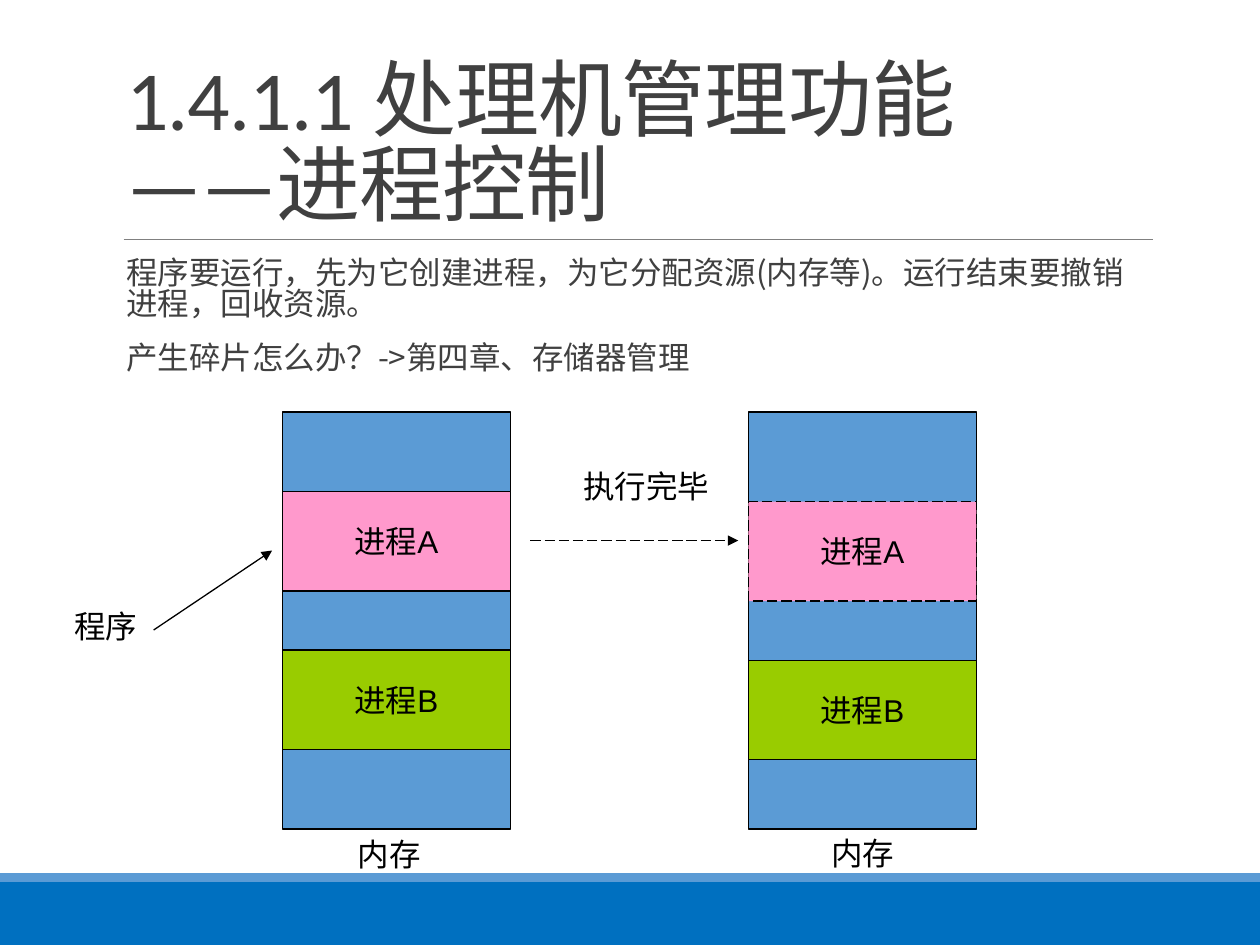
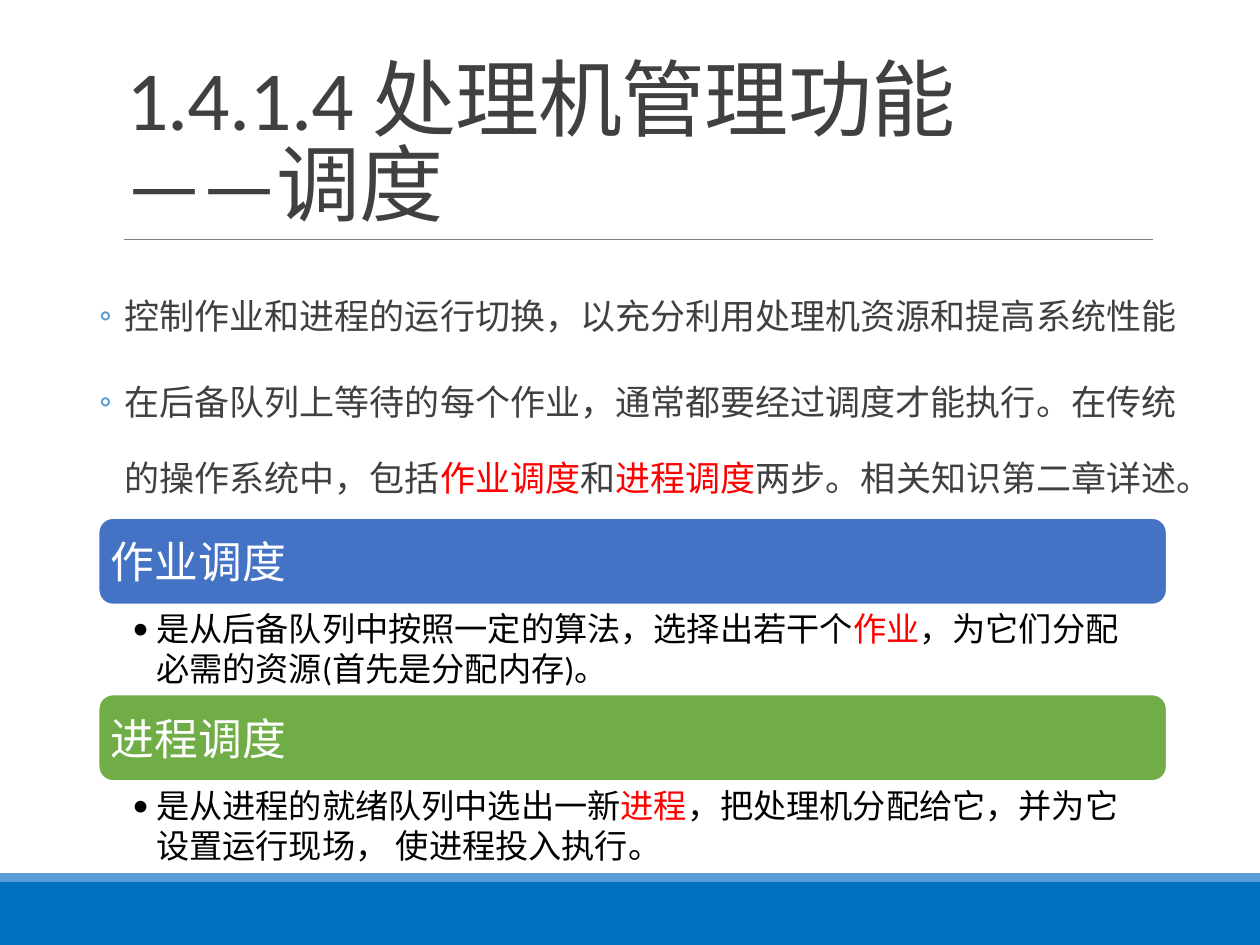
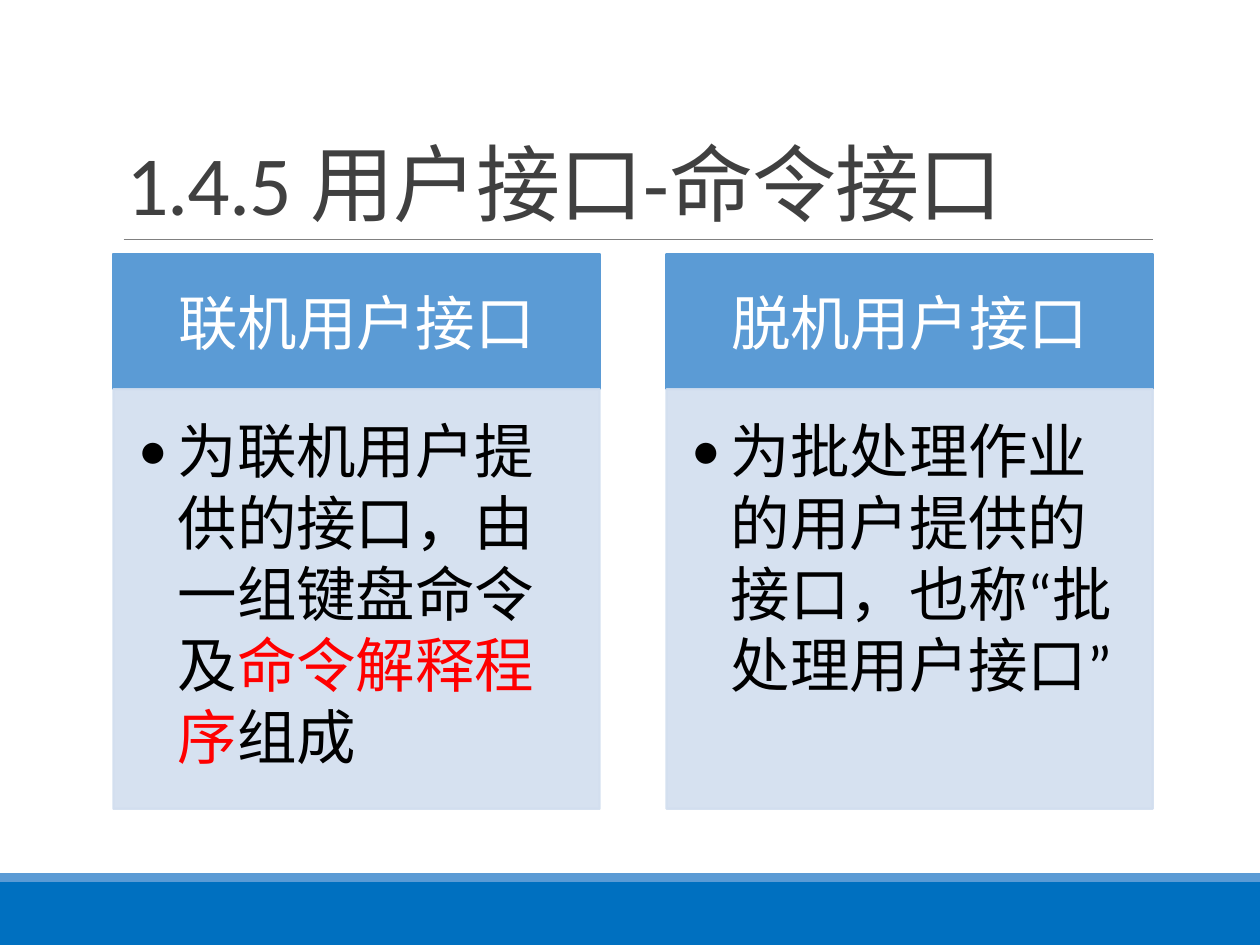
from dataclasses import dataclass

from lxml.etree import SubElement
from pptx import Presentation
from pptx.dml.color import RGBColor
from pptx.enum.dml import MSO_LINE
from pptx.enum.shapes import MSO_CONNECTOR, MSO_SHAPE
from pptx.enum.text import MSO_ANCHOR, MSO_AUTO_SIZE, PP_ALIGN
from pptx.oxml.ns import qn
from pptx.util import Pt


@dataclass(frozen=True)
class Theme:
    band: str = "0070C0"
    accent: str = "5B9BD5"
    rule: str = "808080"
    text: str = "404040"
    ink: str = "000000"
    paper: str = "FFFFFF"
    mark: str = "FF0000"
    pink: str = "FF99CC"
    lime: str = "99CC00"
    blue: str = "4472C4"
    green: str = "71AD47"
    pale: str = "D2DEEF"
    font: str = "Calibri"
    cjk: str = "Noto Sans CJK SC"
    label_font: str = "Arial"
    title_size: float = 48
    label_size: float = 18
    list_size: float = 20
    bar_size: float = 25
    note_size: float = 19
    card_size: float = 34


T = Theme()
W, H = 720, 540
TITLE_BOX = (64.8, 22.3, 594, 114.5)
BANDS = [((0, 504, W, 36), T.band), ((0, 499, W, 5), T.accent)]
RULE = (70.6, 136.8, 658.8, 136.8)

CONTROL = {
    "title": "1.4.1.1 处理机管理功能\v——进程控制",
    "body": [
        "程序要运行，先为它创建进程，为它分配资源(内存等)。运行结束要撤销进程，回收资源。",
        "产生碎片怎么办？->第四章、存储器管理",
    ],
    "labels": [
        ("内存", 197.3, 473.8, 50.4),
        ("内存", 468, 473, 50.4),
        ("程序", 35.3, 343.4, 50.4),
        ("执行完毕", 326.2, 263.5, 86.4),
    ],
    "arrows": [((87.8, 360, 155.5, 314.6), False), ((303.1, 308.9, 421.9, 308.9), True)],
}
MEMORY_TOP, MEMORY_W, MEMORY_H, BLOCK_H = 235.4, 130.3, 238.3, 56.9
MEMORIES = [(161.3, 0, False), (427.7, 5.8, True)]
BLOCKS = [("进程A", 45.4, T.pink), ("进程B", 136.1, T.lime)]

SCHEDULING = {
    "title": "1.4.1.4 处理机管理功能\v——调度",
    "body": [
        "控制作业和进程的运行切换，以充分利用处理机资源和提高系统性能",
        "在后备队列上等待的每个作业，通常都要经过调度才能执行。在传统的操作系统中，包括"
        "*作业调度*和*进程调度*两步。相关知识第二章详述。",
    ],
    "bars": [
        ("作业调度", T.blue,
         "是从后备队列中按照一定的算法，选择出若干个*作业*，为它们分配必需的资源(首先是分配内存)。"),
        ("进程调度", T.green,
         "是从进程的就绪队列中选出一新*进程*，把处理机分配给它，并为它设置运行现场， 使进程投入执行。"),
    ],
}
BAR_X, BAR_TOP, BAR_W, BAR_H, NOTE_H, BAR_STEP = 56.2, 295.9, 610.6, 49.7, 50.4, 100.8

INTERFACE = {
    "title": "1.4.5 用户接口-命令接口",
    "cards": [
        ("联机用户接口", "为联机用户提供的接口，由一组键盘命令及*命令解释程序*组成"),
        ("脱机用户接口", "为批处理作业的用户提供的接口，也称“批处理用户接口”"),
    ],
}
CARD_X, CARD_TOP, CARD_W, HEAD_H, CARD_H, CARD_STEP = 64.8, 145.4, 277.9, 77, 239.8, 316.1


def rgb(code):
    return RGBColor.from_string(code)


def place(sp, box):
    sp.left, sp.top, sp.width, sp.height = map(Pt, box)


def style_run(r, size, color, font, ea):
    r.font.size, r.font.name = Pt(size), font
    r.font.color.rgb = rgb(color)
    rPr = r.font._element
    rPr.set("lang", "zh-CN")
    SubElement(rPr, qn("a:ea"), typeface=ea)


def write(tf, paras, size, color, font=T.font, ea=None, align=PP_ALIGN.LEFT,
          anchor=MSO_ANCHOR.TOP, inset=(7.2, 3.6, 7.2, 3.6), wrap=True,
          bullet=None, bullet_color=None, indent=(0, 0), spacing=None, before=0, after=0):
    tf.auto_size, tf.word_wrap, tf.vertical_anchor = MSO_AUTO_SIZE.NONE, wrap, anchor
    tf.margin_left, tf.margin_top, tf.margin_right, tf.margin_bottom = map(Pt, inset)
    for i, text in enumerate(paras):
        p = tf.add_paragraph() if i else tf.paragraphs[0]
        p.alignment, p.line_spacing = align, spacing
        p.space_before, p.space_after = Pt(before), Pt(after)
        for j, part in enumerate(text.split("*")):
            r = p.add_run()
            r.text = part
            style_run(r, size, T.mark if j % 2 else color, font, ea or font)
        if bullet:
            pPr = p._p.get_or_add_pPr()
            pPr.set("marL", str(Pt(indent[0])))
            pPr.set("indent", str(Pt(indent[1])))
            if bullet_color:
                SubElement(SubElement(pPr, qn("a:buClr")), qn("a:srgbClr"), val=bullet_color)
            SubElement(pPr, qn("a:buFont"), typeface=T.font)
            SubElement(pPr, qn("a:buChar"), char=bullet)


def add_block(s, box, fill, line=None, weight=0.75, dashed=False, kind=MSO_SHAPE.RECTANGLE):
    sp = s.shapes.add_shape(kind, *map(Pt, box))
    sp.shadow.inherit = False
    sp.fill.solid()
    sp.fill.fore_color.rgb = rgb(fill)
    if line is None:
        sp.line.fill.background()
    else:
        sp.line.color.rgb, sp.line.width = rgb(line), Pt(weight)
        if dashed:
            sp.line.dash_style = MSO_LINE.LONG_DASH
    return sp


def add_line(s, ends, color, weight, dashed=False, arrow=False):
    ln = s.shapes.add_connector(MSO_CONNECTOR.STRAIGHT, *map(Pt, ends))
    ln.line.color.rgb, ln.line.width = rgb(color), Pt(weight)
    if dashed:
        ln.line.dash_style = MSO_LINE.LONG_DASH
    if arrow:
        SubElement(ln.line._get_or_add_ln(), qn("a:tailEnd"), type="triangle")
    SubElement(ln.element.spPr, qn("a:effectLst"))
    return ln


def add_text(s, box, paras, size, color, **style):
    write(s.shapes.add_textbox(*map(Pt, box)).text_frame, paras, size, color, **style)


def add_slide(prs, layout, title):
    s = prs.slides.add_slide(prs.slide_layouts[layout])
    sp = s.shapes.title
    place(sp, TITLE_BOX)
    tf = sp.text_frame
    tf.text = title
    tf.auto_size, tf.word_wrap, tf.vertical_anchor = MSO_AUTO_SIZE.NONE, True, MSO_ANCHOR.BOTTOM
    p = tf.paragraphs[0]
    p.alignment, p.line_spacing = PP_ALIGN.LEFT, 0.85
    for r in p.runs:
        style_run(r, T.title_size, T.text, T.font, T.font)
        r.font._element.set("spc", "-50")
    return s


def add_body(s, box, paras, size, **style):
    sp = s.placeholders[1]
    place(sp, box)
    write(sp.text_frame, paras, size, T.text, inset=(0, 3.6, 0, 3.6),
          bullet_color=T.accent, **style)


def dress_master(prs, s):
    shared = [add_block(s, box, fill) for box, fill in BANDS]
    shared.append(add_line(s, RULE, T.rule, 0.5))
    tree = prs.slide_master.element.cSld.spTree
    for i, sp in enumerate(shared):
        tree.insert(2 + i, sp.element)


def build_control(prs):
    s = add_slide(prs, 1, CONTROL["title"])
    dress_master(prs, s)
    add_body(s, (64.8, 145.4, 594, 78.5), CONTROL["body"], T.label_size, font=T.cjk, ea=T.font,
             bullet=" ", indent=(7.2, -7.2), spacing=0.8, before=12, after=2)
    for x, shift, freed in MEMORIES:
        add_block(s, (x, MEMORY_TOP, MEMORY_W, MEMORY_H), T.accent, T.ink)
        for i, (name, dy, fill) in enumerate(BLOCKS):
            box = (x, MEMORY_TOP + dy + shift, MEMORY_W, BLOCK_H)
            sp = add_block(s, box, fill, T.ink, dashed=freed and i == 0)
            write(sp.text_frame, [name], T.label_size, T.ink, font=T.label_font,
                  align=PP_ALIGN.CENTER, anchor=MSO_ANCHOR.MIDDLE, wrap=False)
    for text, x, y, w in CONTROL["labels"]:
        add_text(s, (x, y, w, 28.8), [text], T.label_size, T.ink, font=T.label_font, wrap=False)
    for ends, dashed in CONTROL["arrows"]:
        add_line(s, ends, T.ink, 0.75, dashed, arrow=True)


def build_scheduling(prs):
    s = add_slide(prs, 1, SCHEDULING["title"])
    add_body(s, (41, 145.4, 640.8, 118.1), SCHEDULING["body"], T.list_size,
             bullet="◦", indent=(30.2, -14.4), spacing=1.8, before=2, after=4)
    for i, (name, fill, note) in enumerate(SCHEDULING["bars"]):
        y = BAR_TOP + i * BAR_STEP
        sp = add_block(s, (BAR_X, y, BAR_W, BAR_H), fill, T.paper, 1.25,
                       kind=MSO_SHAPE.ROUNDED_RECTANGLE)
        write(sp.text_frame, [name], T.bar_size, T.paper, anchor=MSO_ANCHOR.MIDDLE,
              inset=(4.8, 4.8, 4.8, 4.8))
        add_text(s, (BAR_X, y + BAR_H, BAR_W, NOTE_H), [note], T.note_size, T.ink,
                 inset=(19.4, 2.2, 13.7, 2.2), bullet="•", indent=(13.7, -13.7))


def build_interface(prs):
    s = add_slide(prs, 5, INTERFACE["title"])
    for i, (name, note) in enumerate(INTERFACE["cards"]):
        x = CARD_X + i * CARD_STEP
        head = add_block(s, (x, CARD_TOP, CARD_W, HEAD_H), T.accent, T.accent, 1.25)
        write(head.text_frame, [name], T.card_size, T.paper, align=PP_ALIGN.CENTER,
              anchor=MSO_ANCHOR.MIDDLE, inset=(18.7, 10.8, 18.7, 10.8))
        card = add_block(s, (x, CARD_TOP + HEAD_H, CARD_W, CARD_H), T.pale, T.pale, 1.25)
        for clr in list(card.element.spPr.iter(qn("a:srgbClr"))):
            SubElement(clr, qn("a:alpha"), val="90000")
        write(card.text_frame, [note], T.card_size, T.ink, inset=(14.4, 14.4, 18.7, 21.6),
              bullet="•", indent=(22.3, -22.3))


prs = Presentation()
prs.slide_width, prs.slide_height = Pt(W), Pt(H)
build_control(prs)
build_scheduling(prs)
build_interface(prs)
prs.save("out.pptx")
